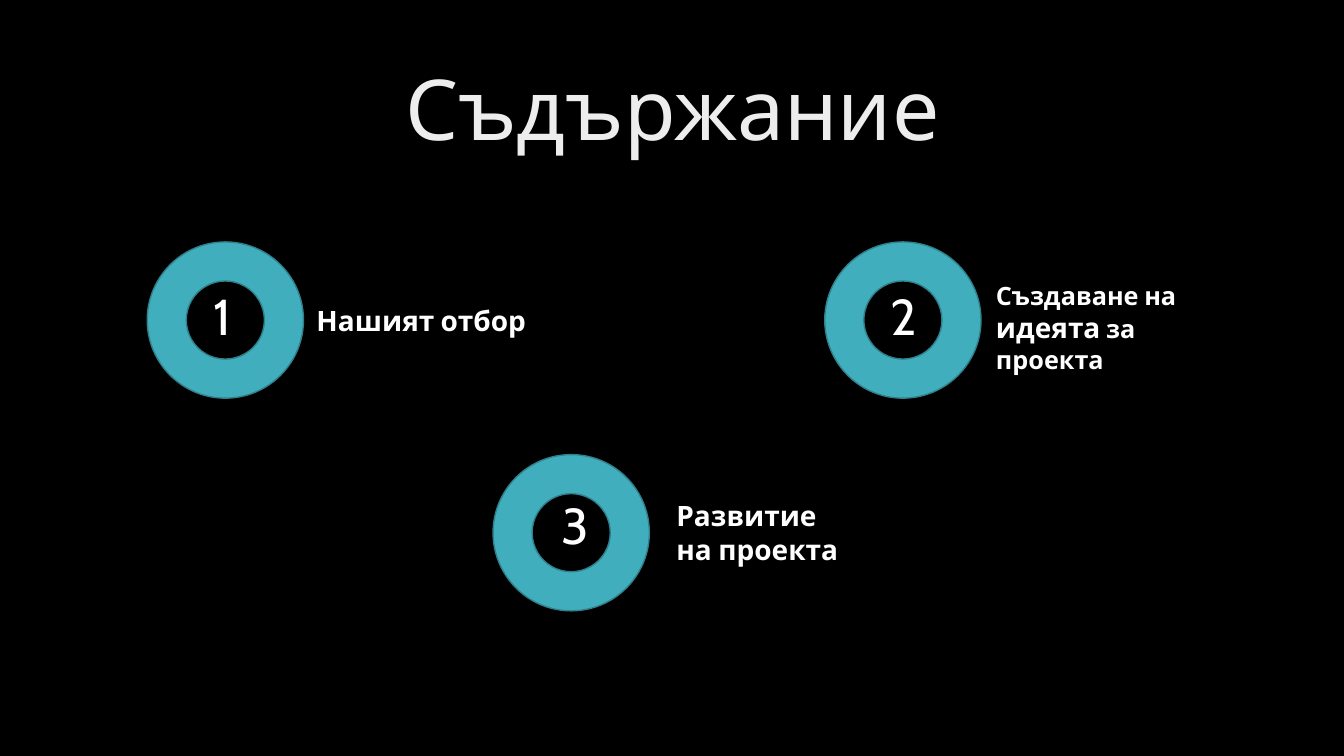
from pptx import Presentation
from pptx.dml.color import RGBColor
from pptx.enum.shapes import MSO_SHAPE
from pptx.enum.text import MSO_ANCHOR, PP_ALIGN
from pptx.util import Inches, Pt

DONUT = MSO_SHAPE.DONUT
TOP, MIDDLE = MSO_ANCHOR.TOP, MSO_ANCHOR.MIDDLE
LEFT, CENTER = PP_ALIGN.LEFT, PP_ALIGN.CENTER

WIDE, HIGH = 13.33, 7.5
FONT = "Cabin"
BLACK, WHITE, PALE = "000000", "FFFFFF", "EDEDED"
TEAL, EDGE = "41AEBD", "30818C"
RING = 1.55
TITLE = "Съдържание"

# Each topic: ring corner, number offset, label offset and size, label runs
TOPICS = [
    ((1.46, 2.4), (0.56, 0.38), (1.58, 0.56, 2.48, 0.44),
     [("Нашият отбор", 20)]),
    ((8.18, 2.4), (0.55, 0.38), (1.6, 0.33, 2.11, 1.04),
     [("Създаване на ", 18), ("идеята", 20), (" за проекта", 18)]),
    ((4.89, 4.51), (0.58, 0.34), (1.72, 0.39, 1.98, 0.77),
     [("Развитие на проекта", 20)]),
]


def color(code):
    """Turn a hex string into a colour."""
    return RGBColor.from_string(code)


def write(slide, box, runs, tint=WHITE, bold=False, align=LEFT,
          anchor=TOP, space=None):
    """Add a text box holding one paragraph of (text, size) runs."""
    frame = slide.shapes.add_textbox(*map(Inches, box)).text_frame
    frame.word_wrap = True
    frame.vertical_anchor = anchor
    para = frame.paragraphs[0]
    para.alignment = align
    para.line_spacing = space
    for text, size in runs:
        run = para.add_run()
        run.text = text
        font = run.font
        font.name, font.size, font.bold = FONT, Pt(size), bold
        font.color.rgb = color(tint)


def ring(slide, left, top):
    """Add a teal ring."""
    shape = slide.shapes.add_shape(
        DONUT, *map(Inches, (left, top, RING, RING)))
    shape.shadow.inherit = False
    shape.fill.solid()
    shape.fill.fore_color.rgb = color(TEAL)
    shape.line.color.rgb = color(EDGE)
    shape.line.width = Pt(1)


def main():
    """Build the contents slide."""
    deck = Presentation()
    deck.slide_width, deck.slide_height = Inches(WIDE), Inches(HIGH)
    slide = deck.slides.add_slide(deck.slide_layouts[6])
    back = slide.background.fill
    back.solid()
    back.fore_color.rgb = color(BLACK)

    write(slide, (0.92, 0.4, 11.5, 1.45), [(TITLE, 60)], tint=PALE,
          align=CENTER, anchor=MIDDLE, space=0.9)
    for count, (spot, shift, label, runs) in enumerate(TOPICS, 1):
        left, top = spot
        right, down, wide, high = label
        ring(slide, left, top)
        write(slide, (left + shift[0], top + shift[1], 0.52, 0.71),
              [(str(count), 36)])
        write(slide, (left + right, top + down, wide, high), runs, bold=True)
    deck.save("out.pptx")


if __name__ == "__main__":
    main()
